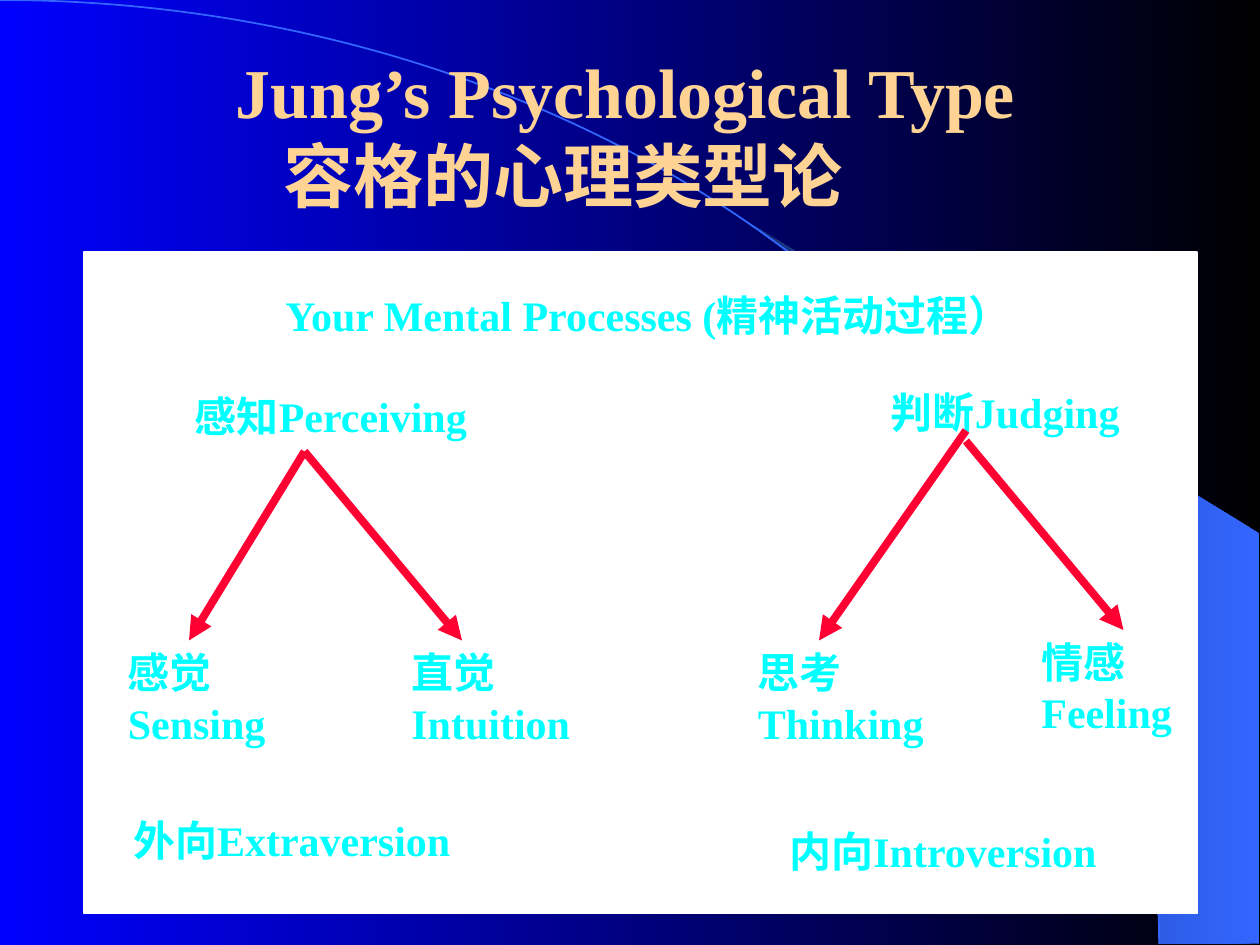
import math

import pptx
import pptx.dml.color
import pptx.enum.shapes
import pptx.enum.text
import pptx.oxml
import pptx.oxml.ns
import pptx.util

Pt = pptx.util.Pt
RGBColor = pptx.dml.color.RGBColor

BLACK = RGBColor(0x00, 0x00, 0x00)
BLUE = RGBColor(0x00, 0x00, 0xFF)
SKY = RGBColor(0x33, 0x66, 0xFF)
NAVY = RGBColor(0x17, 0x2F, 0x75)
SAND = RGBColor(0xFF, 0xD3, 0x93)
WHITE = RGBColor(0xFF, 0xFF, 0xFF)
CYAN = RGBColor(0x00, 0xFF, 0xFF)
RED = RGBColor(0xFF, 0x00, 0x33)

deck = pptx.Presentation()
deck.slide_width, deck.slide_height = Pt(720), Pt(540)
page = deck.slides.add_slide(deck.slide_layouts[6])


def add_text(text, left, top, width, height, size=24, color=CYAN, wrap=False, last_indent=0):
    box = page.shapes.add_textbox(Pt(left), Pt(top), Pt(width), Pt(height))
    frame = box.text_frame
    frame.word_wrap = wrap
    frame.auto_size = pptx.enum.text.MSO_AUTO_SIZE.SHAPE_TO_FIT_TEXT
    frame.text = text
    for para in frame.paragraphs:
        para.font.size = Pt(size)
        para.font.name = "Times New Roman"
        para.font.bold = True
        para.font.color.rgb = color
    if last_indent:
        properties = frame.paragraphs[-1]._p.get_or_add_pPr()
        properties.set("marL", str(Pt(last_indent)))
        properties.set("indent", "0")


def set_gradient(fill, right, left):
    fill.gradient()
    fill.gradient_angle = 180
    for stop, color in zip(fill.gradient_stops, (right, left)):
        stop.color.rgb = color


# Background: black at the right, blue at the left
set_gradient(page.background.fill, BLACK, BLUE)

# Wedge between the lower part of the ellipse and the right edge
ARC_WIDTH, ARC_HEIGHT = 662.4, 539.3
STEPS = 13
angles = [math.radians(40 + 50 * step / STEPS) for step in range(STEPS + 1)]
corners = [(ARC_WIDTH * math.sin(angle), ARC_HEIGHT * (1 - math.cos(angle))) for angle in angles]
corners += [(719.3, 539.3), (719.3, 304.6)]
points = [(Pt(x), Pt(y)) for x, y in corners]
builder = page.shapes.build_freeform(*points[0])
builder.add_line_segments(points[1:], close=True)
wedge = builder.convert_to_shape()
wedge.shadow.inherit = False
set_gradient(wedge.fill, SKY, NAVY)
wedge.line.fill.background()

# Upper right quarter of the ellipse
arc = page.shapes.add_shape(pptx.enum.shapes.MSO_SHAPE.ARC, Pt(-ARC_WIDTH), Pt(0),
                            Pt(2 * ARC_WIDTH), Pt(2 * ARC_HEIGHT))
arc.shadow.inherit = False
arc.fill.background()
arc.line.color.rgb = SKY
arc.line.width = Pt(1)

# Title
add_text("Jung’s Psychological Type\n容格的心理类型论", 127.4, 24, 465, 103.7,
         size=40, color=SAND, last_indent=27.5)

# White panel
panel = page.shapes.add_shape(pptx.enum.shapes.MSO_SHAPE.RECTANGLE,
                              Pt(48), Pt(144), Pt(636), Pt(378))
panel.shadow.inherit = False
panel.fill.solid()
panel.fill.fore_color.rgb = WHITE
panel.line.color.rgb = WHITE
panel.line.width = Pt(1)

# Labels
add_text("Your Mental Processes (精神活动过程）", 156, 162, 445, 36, wrap=True)
for text, left, top, width, height in (
    ("感知Perceiving", 104.3, 219.6, 183, 36),
    ("判断Judging", 502, 217.6, 152, 36),
    ("感觉\nSensing", 66, 366, 94, 64.8),
    ("直觉\nIntuition", 228, 366, 106, 64.8),
    ("思考\nThinking", 426, 366, 110, 64.8),
    ("情感\nFeeling", 588, 360, 90, 64.8),
    ("外向Extraversion", 69, 462, 203, 36),
):
    add_text(text, left, top, width, height)
add_text("内向Introversion", 444, 468, 204, 36, wrap=True)

# Arrows from each process to its two functions
for start_x, start_y, end_x, end_y in (
    (552, 246, 468, 366),
    (174, 258, 108, 366),
    (174, 258, 264, 366),
    (552, 252, 642, 360),
):
    arrow = page.shapes.add_connector(pptx.enum.shapes.MSO_CONNECTOR.STRAIGHT,
                                      Pt(start_x), Pt(start_y), Pt(end_x), Pt(end_y))
    arrow.line.color.rgb = RED
    arrow.line.width = Pt(4.5)
    head = pptx.oxml.parse_xml(f'<a:tailEnd {pptx.oxml.ns.nsdecls("a")} type="triangle"/>')
    arrow.line._get_or_add_ln().append(head)
    no_shadow = pptx.oxml.parse_xml(f'<a:effectLst {pptx.oxml.ns.nsdecls("a")}/>')
    arrow._element.spPr.append(no_shadow)

deck.save("out.pptx")
